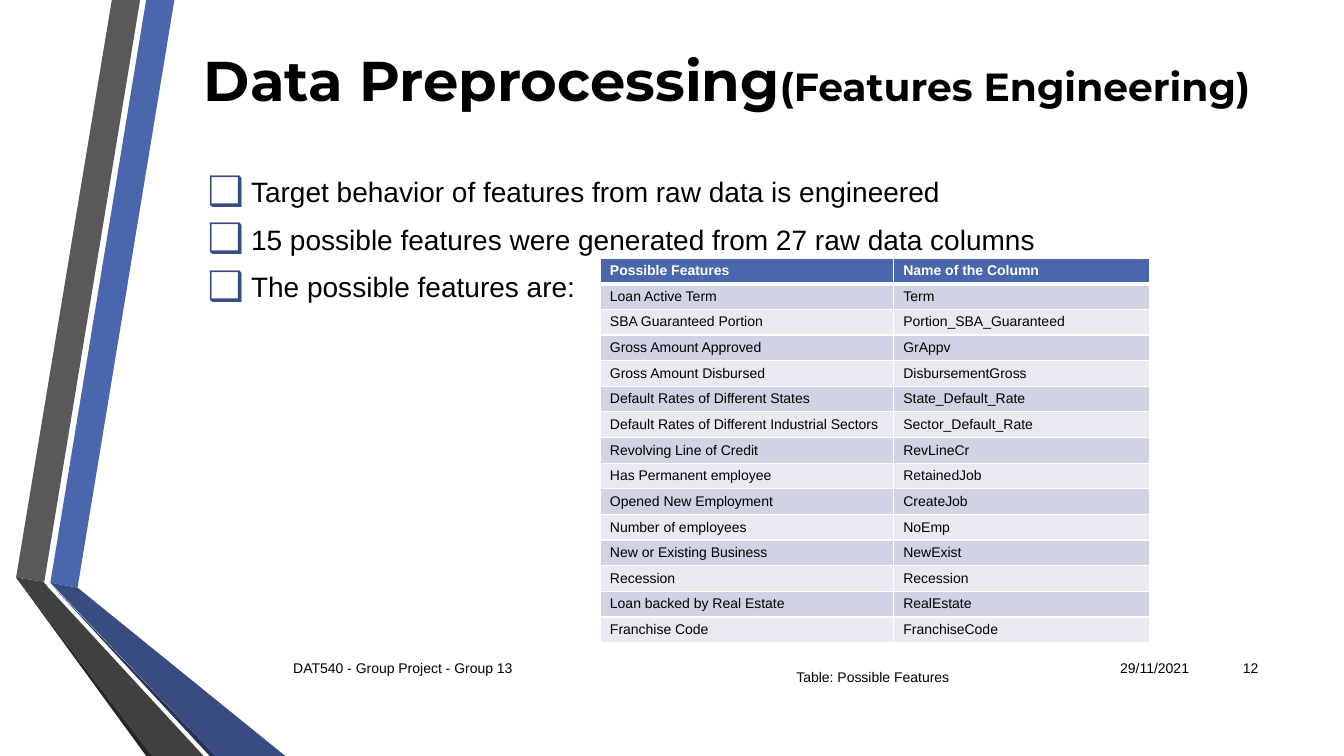
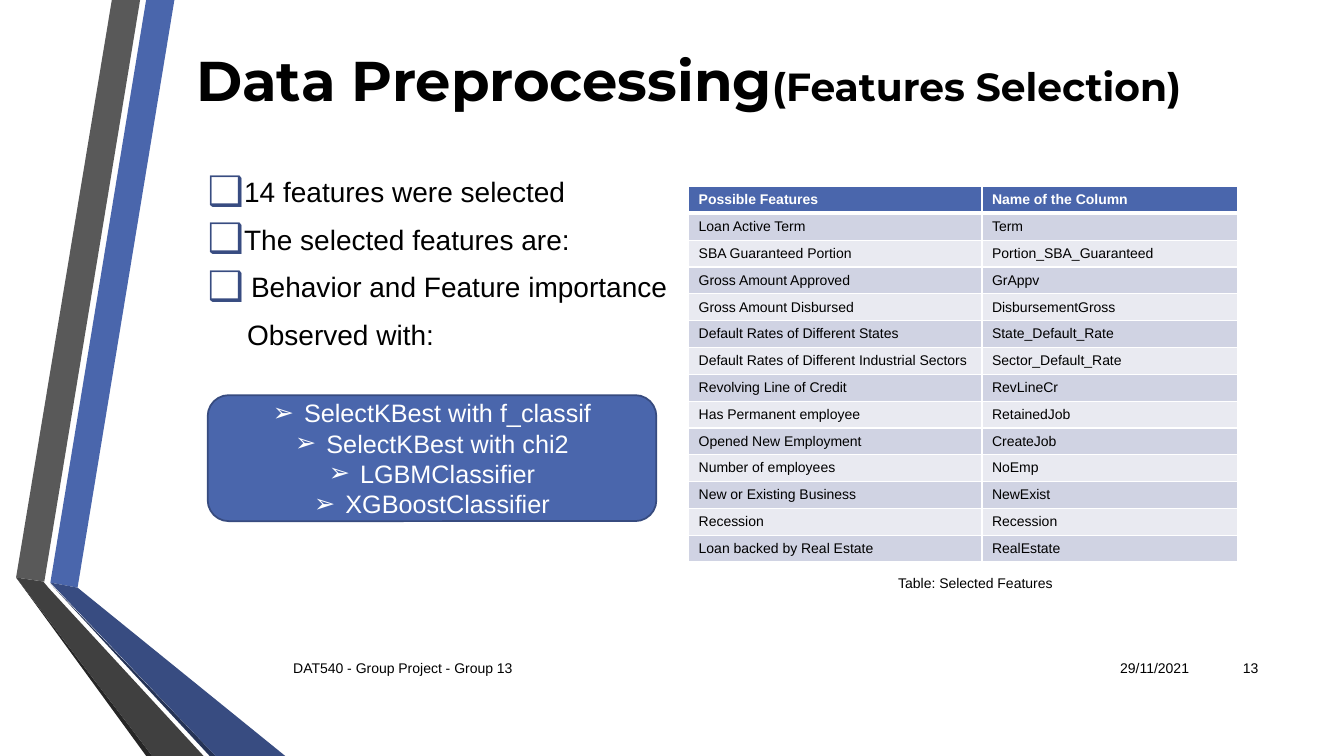
"""Build two slides on the data preprocessing of a group project."""
from lxml import etree
from pptx import Presentation
from pptx.dml.color import RGBColor
from pptx.enum.shapes import MSO_SHAPE
from pptx.enum.text import MSO_ANCHOR, MSO_AUTO_SIZE, PP_ALIGN
from pptx.oxml.ns import qn
from pptx.util import Pt

PX = 9144
WHITE = RGBColor(0xFF, 0xFF, 0xFF)
BLACK = RGBColor(0x00, 0x00, 0x00)
BLUE = RGBColor(0x4A, 0x66, 0xAC)
DARK_BLUE = RGBColor(0x38, 0x4C, 0x81)
DEEP_BLUE = RGBColor(0x25, 0x33, 0x56)
OUTLINE_BLUE = RGBColor(0x37, 0x4B, 0x7F)
GREY = RGBColor(0x59, 0x59, 0x59)
DARK_GREY = RGBColor(0x40, 0x40, 0x40)
DEEP_GREY = RGBColor(0x26, 0x26, 0x26)
ROW_TINTS = (RGBColor(0xD0, 0xD3, 0xE3), RGBColor(0xE9, 0xEA, 0xF1))

LEFT, CENTER, RIGHT = PP_ALIGN.LEFT, PP_ALIGN.CENTER, PP_ALIGN.RIGHT
TOP, MIDDLE = MSO_ANCHOR.TOP, MSO_ANCHOR.MIDDLE
NO_FIT = MSO_AUTO_SIZE.NONE
ROUNDED = MSO_SHAPE.ROUNDED_RECTANGLE

BODY_FONT, TITLE_FONT = "Arial", "Montserrat"
BULLET_START = 50
NEAR, SPACED, CONTINUED = 81, 93, 89

BANDS = (
    (BLUE, ((50, 578), (77, 583), (173, 0), (145, 0))),
    (GREY, ((139, 0), (111, 0), (16, 573), (44, 577))),
    (DEEP_GREY, ((16, 573), (145, 750), (151, 750))),
    (DEEP_BLUE, ((50, 579), (208, 750), (214, 750))),
    (DARK_BLUE, ((50, 578), (214, 750), (283, 750), (77, 583))),
    (DARK_GREY, ((202, 750), (48, 583), (43, 577), (16, 573), (151, 750))),
)

HEADINGS = ("Possible Features", "Name of the Column")
SELECTED_FEATURES = (
    ("Loan Active Term", "Term"),
    ("SBA Guaranteed Portion", "Portion_SBA_Guaranteed"),
    ("Gross Amount Approved", "GrAppv"),
    ("Gross Amount Disbursed", "DisbursementGross"),
    ("Default Rates of Different States", "State_Default_Rate"),
    ("Default Rates of Different Industrial Sectors", "Sector_Default_Rate"),
    ("Revolving Line of Credit", "RevLineCr"),
    ("Has Permanent employee", "RetainedJob"),
    ("Opened New Employment", "CreateJob"),
    ("Number of employees", "NoEmp"),
    ("New or Existing Business", "NewExist"),
    ("Recession", "Recession"),
    ("Loan backed by Real Estate", "RealEstate"),
)
POSSIBLE_FEATURES = SELECTED_FEATURES + (("Franchise Code", "FranchiseCode"),)


def add_xml(parent, tag, **attributes):
    return etree.SubElement(parent, qn(tag), attributes)


class Deck:
    def __init__(self):
        self.prs = Presentation()
        self.prs.slide_width, self.prs.slide_height = 1333 * PX, 750 * PX
        self.slide = None

    def new_slide(self, number):
        self.slide = self.prs.slides.add_slide(self.prs.slide_layouts[1])
        for color, outline in BANDS:
            self.band(color, outline)
        self.label("29/11/2021", (1064, 643, 125, 40), RIGHT, MIDDLE)
        self.label("DAT540 - Group Project - Group 13", (281, 643, 775, 40), LEFT, MIDDLE)
        self.label(str(number), (1198, 643, 60, 40), RIGHT, MIDDLE)

    def place(self, shape, box):
        shape.left, shape.top, shape.width, shape.height = (v * PX for v in box)

    def style(self, run, size, color=BLACK, bold=False, font=BODY_FONT):
        run.font.name, run.font.size, run.font.bold = font, Pt(size), bold
        run.font.color.rgb = color

    def bullet(self, paragraph, symbol, start, hanging, color, percent):
        props = paragraph._p.get_or_add_pPr()
        props.set("marL", str(start * PX))
        props.set("indent", str(-hanging * PX))
        if not symbol:
            add_xml(props, "a:buNone")
            return
        add_xml(add_xml(props, "a:buClr"), "a:srgbClr", val=str(color))
        add_xml(props, "a:buSzPct", val=str(percent * 1000))
        add_xml(props, "a:buFont", typeface=BODY_FONT)
        add_xml(props, "a:buChar", char=symbol)

    def band(self, color, outline):
        builder = self.slide.shapes.build_freeform(*outline[0], scale=PX)
        builder.add_line_segments(outline[1:], close=True)
        shape = builder.convert_to_shape()
        shape.shadow.inherit = False
        shape.fill.solid()
        shape.fill.fore_color.rgb = color
        shape.line.fill.background()

    def label(self, text, box, align=LEFT, anchor=TOP):
        frame = self.slide.shapes.add_textbox(*(v * PX for v in box)).text_frame
        frame.word_wrap, frame.vertical_anchor = True, anchor
        frame.text = text
        frame.paragraphs[0].alignment = align
        self.style(frame.paragraphs[0].runs[0], 10)

    def title(self, topic, detail, box):
        title = self.slide.shapes.title
        self.place(title, box)
        frame = title.text_frame
        frame.auto_size, frame.vertical_anchor = NO_FIT, TOP
        heading = frame.paragraphs[0]
        heading.alignment = CENTER
        for text, size in ((topic, 40), (detail, 28)):
            run = heading.add_run()
            run.text = text
            self.style(run, size, bold=True, font=TITLE_FONT)

    def points(self, items):
        body = self.slide.placeholders[1]
        self.place(body, (146, 168, 1157, 510))
        frame = body.text_frame
        frame.auto_size, frame.vertical_anchor = NO_FIT, TOP
        frame.text = "\n".join(text for text, _ in items)
        for point, (_, start) in zip(frame.paragraphs, items):
            point.level, point.space_after = 1, Pt(6)
            bulleted = start != CONTINUED
            self.bullet(point, "❑" if bulleted else None, start,
                        start - BULLET_START if bulleted else 0, DARK_BLUE, 145)
            self.style(point.runs[0], 20)

    def method_box(self, methods, box):
        shape = self.slide.shapes.add_shape(ROUNDED, *(v * PX for v in box))
        shape.shadow.inherit = False
        shape.fill.solid()
        shape.fill.fore_color.rgb = BLUE
        shape.line.color.rgb, shape.line.width = OUTLINE_BLUE, Pt(1.25)
        frame = shape.text_frame
        frame.word_wrap, frame.vertical_anchor = True, MIDDLE
        frame.text = "\n".join(methods)
        for method in frame.paragraphs:
            method.alignment = CENTER
            self.bullet(method, "➢", 31, 31, WHITE, 100)
            self.style(method.runs[0], 18, WHITE)

    def borders(self, cell, bottom):
        props = cell._tc.get_or_add_tcPr()
        sides = (("a:lnL", 1), ("a:lnR", 1), ("a:lnT", 1), ("a:lnB", bottom))
        for position, (side, width) in enumerate(sides):
            line = etree.Element(qn(side), w=str(Pt(width)))
            add_xml(add_xml(line, "a:solidFill"), "a:srgbClr", val=str(WHITE))
            props.insert(position, line)

    def table(self, features, left, top, height):
        rows = (HEADINGS,) + features
        table = self.slide.shapes.add_table(
            len(rows), 2, left * PX, top * PX, 545 * PX, height * PX).table
        for column, width in zip(table.columns, (291, 254)):
            column.width = width * PX
        for r, texts in enumerate(rows):
            header = r == 0
            table.rows[r].height = height * PX // len(rows)
            for c, text in enumerate(texts):
                cell = table.cell(r, c)
                cell.text = text
                cell.margin_top = cell.margin_bottom = 3 * PX
                cell.vertical_anchor = MIDDLE
                cell.fill.solid()
                cell.fill.fore_color.rgb = BLUE if header else ROW_TINTS[(r - 1) % 2]
                self.borders(cell, 3 if header else 1)
                self.style(cell.text_frame.paragraphs[0].runs[0], 10,
                           WHITE if header else BLACK, header)


def main():
    deck = Deck()

    deck.new_slide(12)
    deck.title("Data Preprocessing", "(Features Engineering)", (139, 40, 1164, 145))
    deck.points((
        ("Target behavior of features from raw data is engineered", SPACED),
        ("15 possible features were generated from 27 raw data columns", SPACED),
        ("The possible features are:", SPACED),
    ))
    deck.table(POSSIBLE_FEATURES, 595, 256, 382)
    deck.label("Table: Possible Features", (780, 658, 175, 27))

    deck.new_slide(13)
    deck.title("Data Preprocessing", "(Features Selection)", (108, 40, 1150, 145))
    deck.points((
        ("14 features were selected", NEAR),
        ("The selected features are:", NEAR),
        ("Behavior and Feature importance", SPACED),
        ("Observed with:", CONTINUED),
    ))
    deck.table(SELECTED_FEATURES, 683, 185, 373)
    deck.method_box(("SelectKBest with f_classif", "SelectKBest with chi2",
                     "LGBMClassifier", "XGBoostClassifier"), (206, 392, 445, 125))
    deck.label("Table: Selected Features", (881, 565, 175, 27))

    deck.prs.save("out.pptx")


if __name__ == "__main__":
    main()
